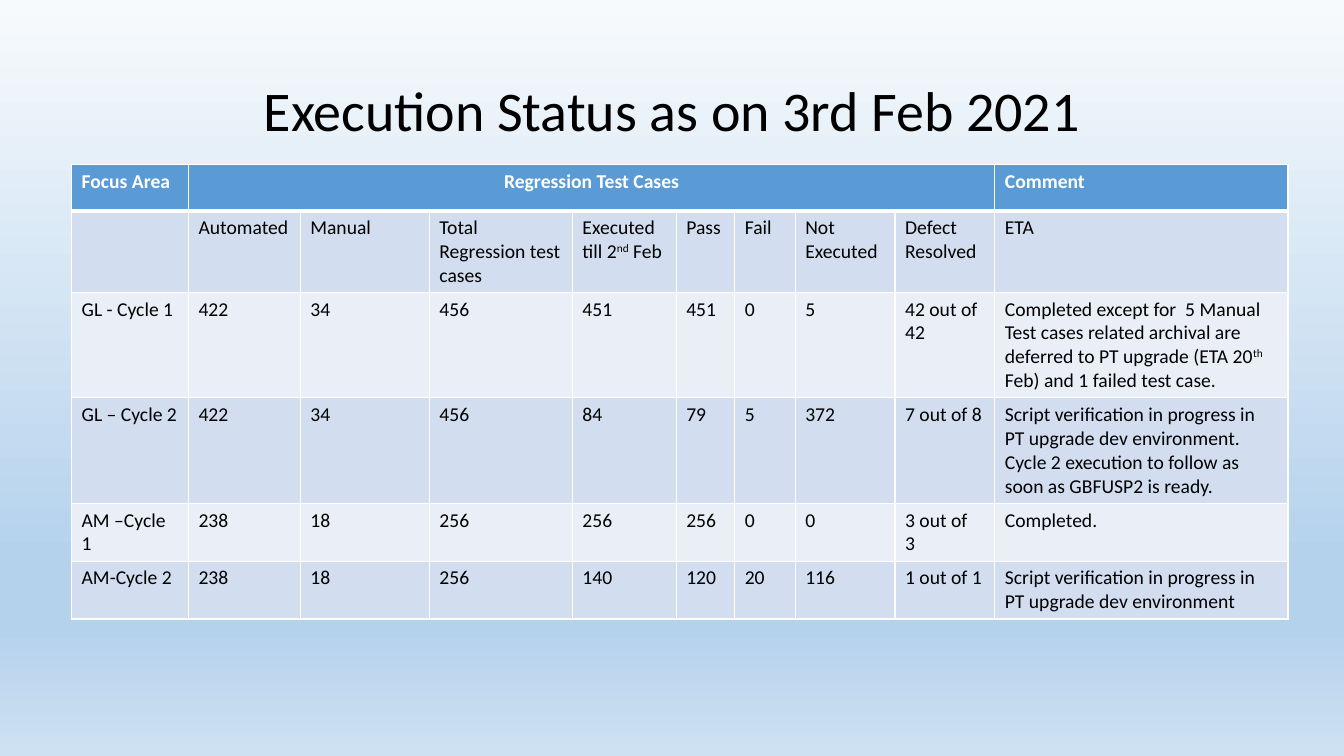
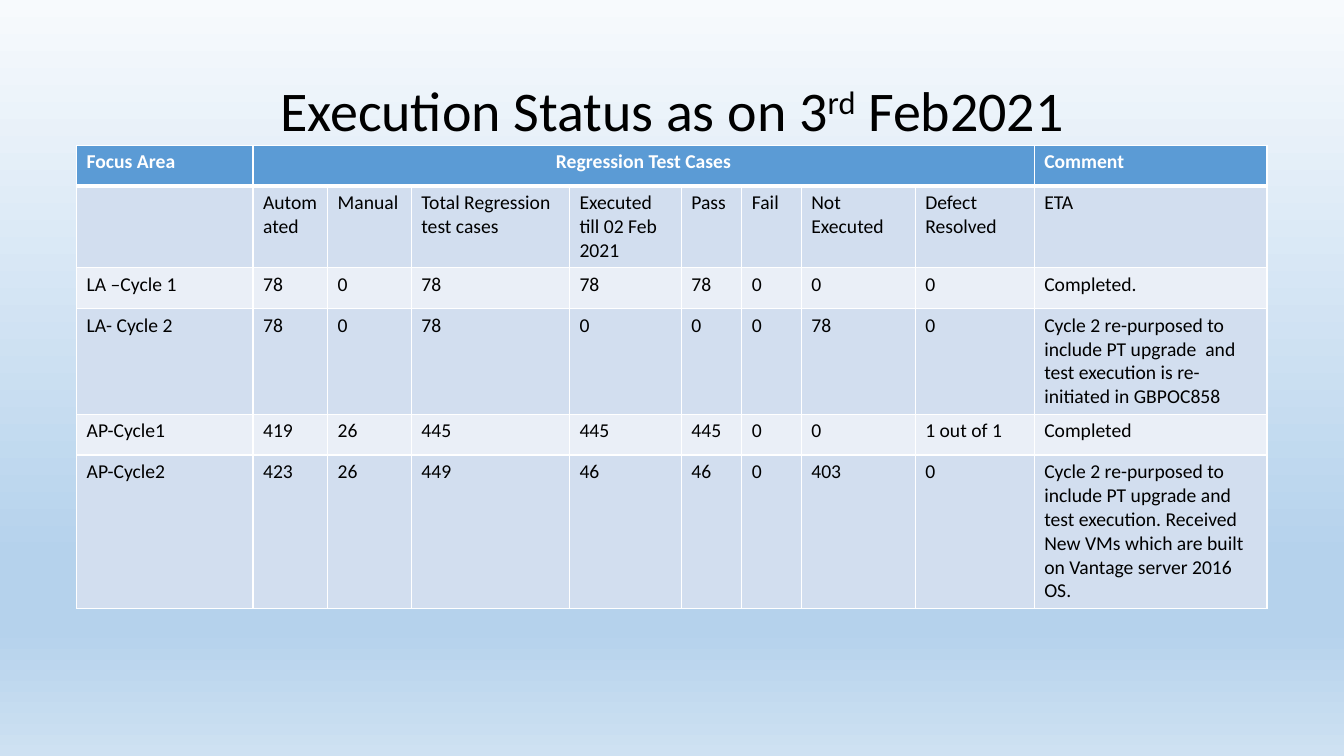
import dataclasses

import lxml.etree
import copy
import pptx
import pptx.dml.color
import pptx.enum.text
import pptx.oxml.ns
import pptx.util

Pt = pptx.util.Pt
RGB = pptx.dml.color.RGBColor.from_string
qn = pptx.oxml.ns.qn
ALIGN = pptx.enum.text.PP_ALIGN


@dataclasses.dataclass(frozen=True)
class Theme:
    font: str = "Calibri"
    title_size: int = 40
    table_size: int = 14
    text: str = "000000"
    header_text: str = "FFFFFF"
    header_fill: str = "5B9BD5"
    bands: tuple = ("EAEFF7", "D2DEEF")
    border: str = "FFFFFF"
    thin: int = 1
    thick: int = 3
    backdrop: tuple = ((0, "F7FAFD"), (0.74, "B5D2EC"), (0.83, "B5D2EC"), (1, "CEE1F2"))


theme = Theme()


def write_text(para, text, size, color, bold=False, align=ALIGN.LEFT):
    """Fill a paragraph; text between carets is superscript."""
    para.alignment = align
    para.font.name = theme.font
    para.font.size = Pt(size)
    para.font.bold = bold
    para.font.color.rgb = RGB(color)
    for index, piece in enumerate(text.split("^")):
        if piece:
            span = para.add_run()
            span.text = piece
            if index % 2:
                span.font._element.set("baseline", "30000")


def set_borders(cell, top, bottom):
    """Draw the four cell edges; they must precede the fill."""
    properties = cell._tc.get_or_add_tcPr()
    for edge, width in (("L", theme.thin), ("R", theme.thin), ("T", top), ("B", bottom)):
        line = lxml.etree.SubElement(properties, qn("a:ln" + edge), w=str(Pt(width)))
        solid = lxml.etree.SubElement(line, qn("a:solidFill"))
        lxml.etree.SubElement(solid, qn("a:srgbClr"), val=theme.border)


# Content of the two status pages
pages = [
    {
        "title": "Execution Status as on 3rd Feb 2021",
        "left": 51.1,
        "top": 117.4,
        "widths": [83.5, 79.9, 92.2, 102.2, 74.2, 41.8, 43.2, 71.3, 71.3, 209.5],
        "heights": [33.1, 49, 49, 35.3, 33.1, 35.3],
        "executed": "Executed till 2^nd^ Feb",
        "rows": [
            ["GL - Cycle 1", 422, 34, 456, 451, 451, 0, 5, "42 out of 42",
             "Completed except for  5 Manual Test cases related archival are deferred "
             "to PT upgrade (ETA 20^th^ Feb) and 1 failed test case."],
            ["GL – Cycle 2", 422, 34, 456, 84, 79, 5, 372, "7 out of 8",
             "Script verification in progress in PT upgrade dev environment. "
             "Cycle 2 execution to follow as soon as GBFUSP2 is ready."],
            ["AM –Cycle 1", 238, 18, 256, 256, 256, 0, 0, "3 out of  3", "Completed."],
            ["AM-Cycle 2", 238, 18, 256, 140, 120, 20, 116, "1 out of 1",
             "Script verification in progress in PT upgrade dev environment"],
        ],
    },
    {
        "title": "Execution Status as on 3^rd^ Feb2021",
        "left": 54.7,
        "top": 103.7,
        "widths": [126, 53.3, 59.8, 113, 79.9, 43.2, 42.5, 81.4, 85, 166.3],
        "heights": [29.2] * 6,
        "executed": "Executed till 02 Feb 2021",
        "rows": [
            ["LA –Cycle 1", 78, 0, 78, 78, 78, 0, 0, 0, "Completed."],
            ["LA- Cycle 2", 78, 0, 78, 0, 0, 0, 78, 0,
             "Cycle 2 re-purposed to include PT upgrade  and test execution is "
             "re-initiated in GBPOC858"],
            ["AP-Cycle1", 419, 26, 445, 445, 445, 0, 0, "1 out of 1", "Completed"],
            ["AP-Cycle2", 423, 26, 449, 46, 46, 0, 403, 0,
             "Cycle 2 re-purposed to include PT upgrade and test execution. Received  "
             "New VMs which are built on Vantage server 2016 OS."],
        ],
    },
]

# Deck with a shared gradient background on the master
deck = pptx.Presentation()
deck.slide_width, deck.slide_height = Pt(960), Pt(540)
fill = deck.slide_master.background.fill
fill.gradient()
fill.gradient_angle = 270
stop_list = deck.slide_master.element.find(".//" + qn("a:gsLst"))
while len(stop_list) < len(theme.backdrop):
    stop_list.append(copy.deepcopy(stop_list[0]))
for stop, (position, color) in zip(fill.gradient_stops, theme.backdrop):
    stop.position = position
    stop.color.rgb = RGB(color)

for content in pages:
    page = deck.slides.add_slide(deck.slide_layouts[5])

    # Title
    title = page.shapes.title
    title.left, title.top, title.width, title.height = Pt(66), Pt(28.8), Pt(828), Pt(104.4)
    title.text_frame.vertical_anchor = pptx.enum.text.MSO_ANCHOR.MIDDLE
    heading = title.text_frame.paragraphs[0]
    heading.line_spacing = 0.9
    write_text(heading, content["title"], theme.title_size, theme.text, align=ALIGN.CENTER)

    # Table grid
    header = ["Focus Area", "Regression Test Cases"] + [""] * 7 + ["Comment"]
    subheader = ["", "Automated", "Manual", "Total Regression test cases", content["executed"],
                 "Pass", "Fail", "Not Executed", "Defect Resolved", "ETA"]
    rows = [header, subheader] + content["rows"]
    widths, heights = content["widths"], content["heights"]
    table = page.shapes.add_table(
        len(rows), len(widths), Pt(content["left"]), Pt(content["top"]),
        Pt(sum(widths)), Pt(sum(heights))).table
    for column, width in zip(table.columns, widths):
        column.width = Pt(width)
    for row, height in zip(table.rows, heights):
        row.height = Pt(height)
    table.cell(0, 1).merge(table.cell(0, 8))

    # Table cells
    for r, values in enumerate(rows):
        is_header = r == 0
        for c, value in enumerate(values):
            cell = table.cell(r, c)
            set_borders(cell, theme.thick if r == 1 else theme.thin,
                        theme.thick if is_header else theme.thin)
            cell.fill.solid()
            cell.fill.fore_color.rgb = RGB(theme.header_fill if is_header else theme.bands[r % 2])
            write_text(cell.text_frame.paragraphs[0], str(value), theme.table_size,
                       theme.header_text if is_header else theme.text, is_header,
                       ALIGN.CENTER if is_header and c == 1 else ALIGN.LEFT)

deck.save("out.pptx")
